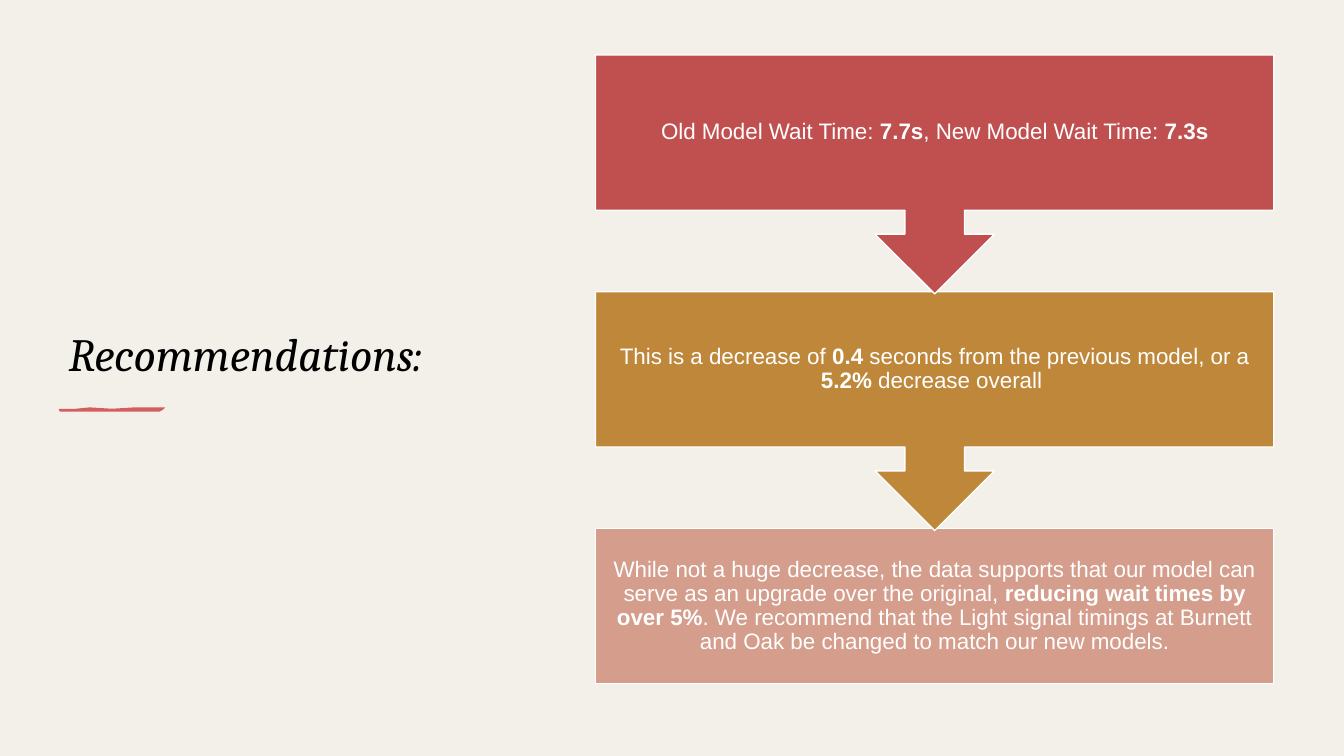
from pptx import Presentation
from pptx.dml.color import RGBColor
from pptx.enum import shapes, text
from pptx.util import Pt

deck = Presentation()
deck.slide_width, deck.slide_height = Pt(960), Pt(540)
slide = deck.slides.add_slide(deck.slide_layouts[6])


def paint(fill, color):
    fill.solid()
    fill.fore_color.rgb = RGBColor.from_string(color)


def write(runs, left, top, width, height, font="Arial", size=16, color="FFFFFF",
          italic=False, align="CENTER", anchor="MIDDLE", side=8.6, edge=8.6, spacing=0.9):
    """Add a text box; every second run is bold."""
    frame = slide.shapes.add_textbox(Pt(left), Pt(top), Pt(width), Pt(height)).text_frame
    frame.word_wrap = True
    frame.vertical_anchor = text.MSO_ANCHOR[anchor]
    frame.margin_left = frame.margin_right = Pt(side)
    frame.margin_top = frame.margin_bottom = Pt(edge)
    para = frame.paragraphs[0]
    para.alignment = text.PP_ALIGN[align]
    para.line_spacing = spacing
    for i, words in enumerate(runs):
        run = para.add_run()
        run.text = words
        run.font.name, run.font.size = font, Pt(size)
        run.font.bold, run.font.italic = i % 2 == 1, italic
        run.font.color.rgb = RGBColor.from_string(color)


paint(slide.background.fill, "F3F0E9")
panel = slide.shapes.add_shape(shapes.MSO_SHAPE.RECTANGLE, 0, 0, Pt(960), Pt(540))
panel.shadow.inherit = False
paint(panel.fill, "F3F0E9")
panel.line.fill.background()

# Title and its brush stroke
write(["Recommendations:"], 42, 50.4, 336, 225.4, font="Cambria", size=33,
      color="000000", italic=True, align="LEFT", anchor="BOTTOM",
      side=7.2, edge=3.6, spacing=1)
stroke = [(42.2, 291.5), (54, 291.5), (64, 291.3), (80, 291.5), (96, 291.1),
          (113, 290.9), (118, 290.9), (116.5, 293.2), (114, 293.9), (95, 294.1),
          (85, 294.4), (64, 294.4), (54, 294.4), (43, 294.4), (41.9, 293.4)]
pen = slide.shapes.build_freeform(*stroke[0], scale=Pt(1))
for x, y in stroke[1:]:
    pen.add_line_segments([(x, y)], close=(x, y) == stroke[-1])
brush = pen.convert_to_shape()
brush.shadow.inherit = False
paint(brush.fill, "D45E5E")
brush.line.fill.background()

# Steps, drawn from the last up so that each arrow overlaps the box below
left, top, width, pitch = 425.4, 39.3, 484.4, 169.1
box, callout = 110.9, 170.6
steps = [
    ("C05050", ["Old Model Wait Time: ", "7.7s", ", New Model Wait Time: ", "7.3s"]),
    ("BF873A", ["This is a decrease of ", "0.4",
                " seconds from the previous model, or a ", "5.2% ", "decrease overall "]),
    ("D49D8C", ["While not a huge decrease, the data supports that our model can serve "
                "as an upgrade over the original, ", "reducing wait times by over 5%",
                ". We recommend that the Light signal timings at Burnett and Oak be "
                "changed to match our new models."]),
]
for i, (color, runs) in reversed(list(enumerate(steps))):
    last = i == len(steps) - 1
    kind = shapes.MSO_SHAPE.RECTANGLE if last else shapes.MSO_SHAPE.UP_ARROW_CALLOUT
    y = top + i * pitch
    step = slide.shapes.add_shape(kind, Pt(left), Pt(y), Pt(width),
                                  Pt(box if last else callout))
    step.rotation = 0 if last else 180
    step.shadow.inherit = False
    paint(step.fill, color)
    paint(step.line.fill, "FFFFFF")
    step.line.width = Pt(1)
    write(runs, left, y, width, box)

deck.save("out.pptx")
